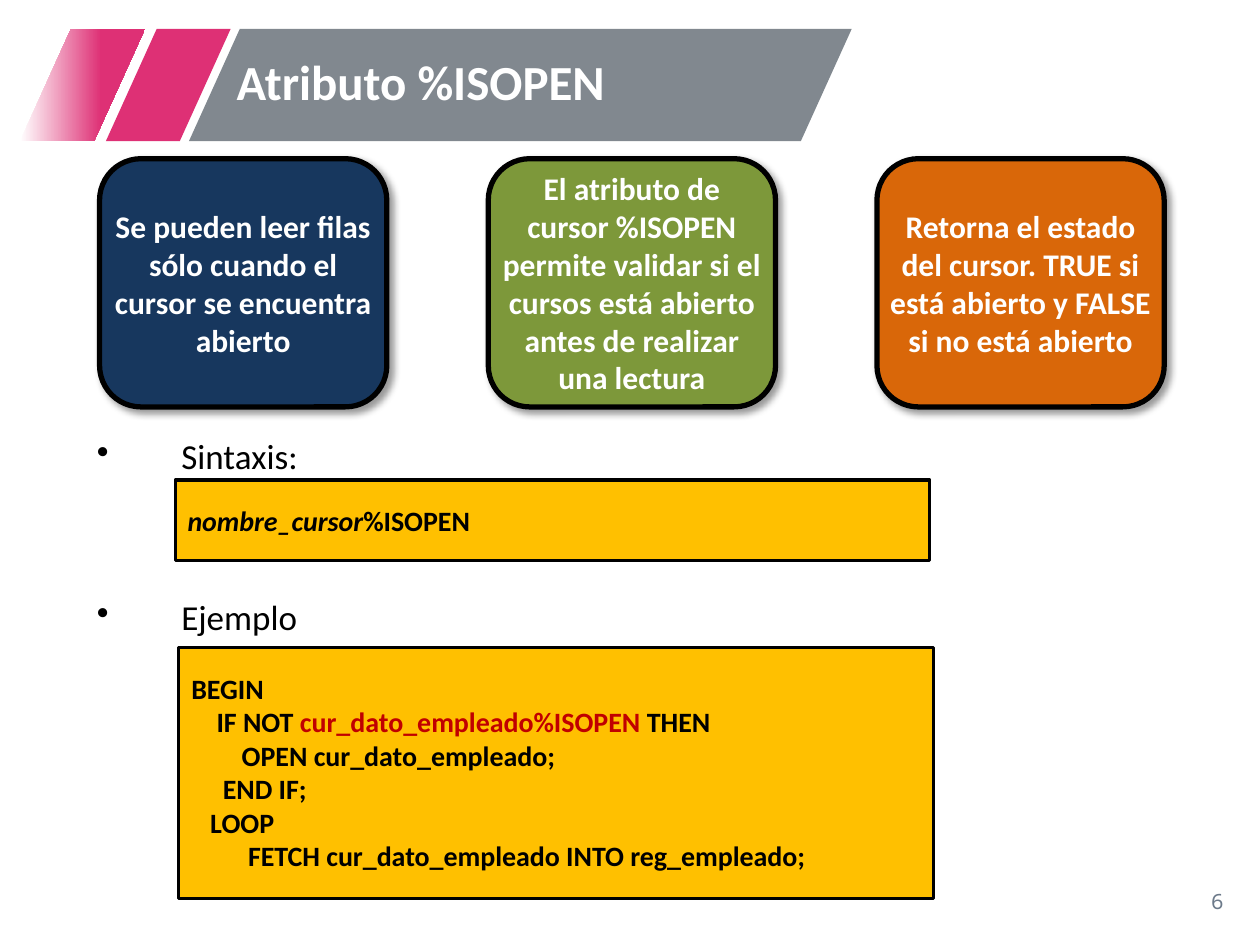
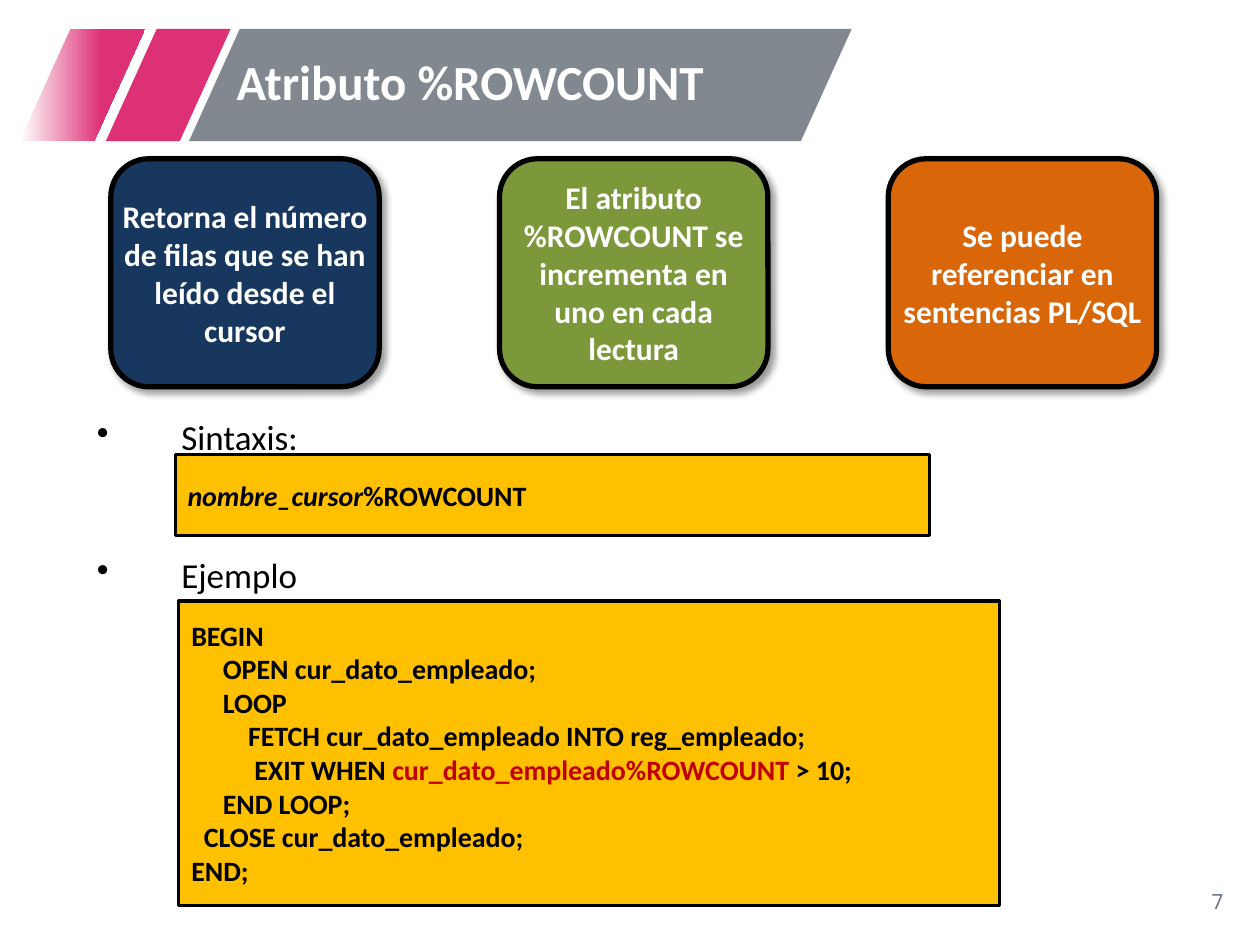
from copy import deepcopy
from dataclasses import dataclass

from lxml import etree
from pptx import Presentation
from pptx.dml.color import RGBColor
from pptx.enum.shapes import MSO_SHAPE
from pptx.enum.text import MSO_ANCHOR, PP_ALIGN
from pptx.oxml.ns import qn
from pptx.util import Inches, Pt

RECT, ROUND, SLANT = MSO_SHAPE.RECTANGLE, MSO_SHAPE.ROUNDED_RECTANGLE, MSO_SHAPE.PARALLELOGRAM
TOP, MIDDLE = MSO_ANCHOR.TOP, MSO_ANCHOR.MIDDLE
LEFT, CENTER, RIGHT = PP_ALIGN.LEFT, PP_ALIGN.CENTER, PP_ALIGN.RIGHT
COLS, ROWS = 100, 75
CELL = 0.1


@dataclass(frozen=True)
class Theme:
    """Colours, fonts and type sizes shared by the slides."""
    pink: str = "DE3075"
    grey: str = "81888F"
    white: str = "FFFFFF"
    black: str = "000000"
    amber: str = "FFC000"
    red: str = "C00000"
    number: str = "6C7A8A"
    cards: tuple = ("17375E", "7D983A", "D96709")
    font: str = "Calibri"
    number_font: str = "Noto Sans Mono"
    title_size: int = 28
    label_size: int = 20
    card_size: int = 18
    code_size: int = 16
    number_size: int = 12


@dataclass(frozen=True)
class Box:
    """A region in grid columns and rows."""
    x: float
    y: float
    w: float
    h: float

    def inner(self, x, y, w, h):
        """Return a box placed from this one's top left corner."""
        return Box(self.x + x, self.y + y, w, h)

    def emu(self):
        """Return left, top, width and height as lengths."""
        return [Inches(v * CELL) for v in (self.x, self.y, self.w, self.h)]


T = Theme()
HEADER = Box(1.6, 2.3, 66, 8.9)
NUMBER = Box(75.6, 69.5, 22.5, 4)


def rgb(value):
    """Turn a hex string into a colour."""
    return RGBColor.from_string(value)


def write(sp, lines, size, color, font=T.font, bold=False, align=LEFT,
          anchor=MIDDLE, inset=(1, 0.5, 1, 0.5), spacing=None, hang=0):
    """Fill a shape with lines, each a string or a list of (text, format) runs."""
    tf = sp.text_frame
    tf.word_wrap = True
    tf.vertical_anchor = anchor
    tf.margin_left, tf.margin_top, tf.margin_right, tf.margin_bottom = [
        Inches(v * CELL) for v in inset]
    for i, line in enumerate(lines):
        p = tf.paragraphs[0] if i == 0 else tf.add_paragraph()
        p.alignment = align
        if spacing:
            p.line_spacing = spacing
        if hang:
            pPr = p._p.get_or_add_pPr()
            pPr.set("marL", str(Inches(hang * CELL)))
            pPr.set("indent", str(-Inches(hang * CELL)))
            etree.SubElement(pPr, qn("a:buChar")).set("char", "•")
        for text, style in [(line, {})] if isinstance(line, str) else line:
            r = p.add_run()
            r.text = text
            r.font.name, r.font.size, r.font.bold = font, Pt(size), bold
            r.font.italic = style.get("italic", False)
            r.font.color.rgb = rgb(style.get("color", color))


def add_text(slide, box, text, **fmt):
    """Add a text box with one paragraph."""
    write(slide.shapes.add_textbox(*box.emu()), [text], **fmt)


def add_block(slide, kind, box, fill, line=0):
    """Add a filled shape, outlined in black when a line width is given."""
    sp = slide.shapes.add_shape(kind, *box.emu())
    sp.shadow.inherit = False
    sp.fill.solid()
    sp.fill.fore_color.rgb = rgb(fill)
    if line:
        sp.line.color.rgb = rgb(T.black)
        sp.line.width = Pt(line)
    else:
        sp.line.fill.background()
    return sp


def fade(sp, start, end):
    """Fade a shape from start to end, solid from 65 % on."""
    sp.fill.gradient()
    sp.fill.gradient_angle = 0
    for stop, color, position in zip(sp.fill.gradient_stops, (start, end), (0, 0.65)):
        stop.color.rgb = rgb(color)
        stop.position = position
    stops = sp.element.spPr.find(qn("a:gradFill")).find(qn("a:gsLst"))
    last = deepcopy(stops[-1])
    last.set("pos", "100000")
    stops.append(last)


def cast_shadow(sp):
    """Give a shape a soft shadow to the lower right."""
    effects = sp.element.spPr.find(qn("a:effectLst"))
    shadow = etree.SubElement(effects, qn("a:outerShdw"), blurRad=str(Pt(4)),
                              dist=str(Pt(3)), dir="2700000", algn="tl", rotWithShape="0")
    color = etree.SubElement(shadow, qn("a:srgbClr"), val=T.black)
    etree.SubElement(color, qn("a:alpha"), val="40000")


def add_header(slide, box, title):
    """Draw the slanted band with the title."""
    bands = [(6.8, 9.9, T.pink), (0, 9.9, T.pink), (13.4, 52.6, T.grey)]
    for x, w, fill in bands:
        sp = add_block(slide, SLANT, box.inner(x, 0, w, box.h), fill)
        sp.adjustments[0] = 0.453
        if x == 0:
            fade(sp, T.white, T.pink)
    add_text(slide, box.inner(16.2, 0, 48.2, box.h), title,
             size=T.title_size, color=T.white, bold=True, spacing=0.9)


def add_cards(slide, box, texts, width):
    """Spread the cards evenly across the box."""
    step = (box.w - width) / (len(texts) - 1)
    for i, (text, fill) in enumerate(zip(texts, T.cards)):
        sp = add_block(slide, ROUND, box.inner(i * step, 0, width, box.h), fill, line=3)
        cast_shadow(sp)
        write(sp, [text], size=T.card_size, color=T.white, bold=True,
              align=CENTER, inset=(0, 0, 0, 0))


def add_code(slide, label_box, label, box, lines, top=1.86):
    """Place a bulleted label and its code panel."""
    add_text(slide, label_box, label, size=T.label_size, color=T.black,
             anchor=TOP, inset=(1, 0, 1, 0), hang=6.7)
    sp = add_block(slide, RECT, box, T.amber, line=1.75)
    write(sp, lines, size=T.code_size, color=T.black, bold=True,
          anchor=TOP, inset=(1, top, 1, 0))


def highlight(line, term):
    """Split a line into runs with the term in red."""
    before, found, after = line.partition(term)
    runs = [(before, {}), (found, {"color": T.red}), (after, {})]
    return [run for run in runs if run[0]]


def add_attribute_slide(prs, number, attribute, cards, card_box, card_width,
                        label_rows, syntax_row, example_box, code, code_top):
    """Build one slide about a cursor attribute."""
    slide = prs.slides.add_slide(prs.slide_layouts[6])
    add_header(slide, HEADER, f"Atributo {attribute}")
    add_text(slide, NUMBER, str(number), size=T.number_size, color=T.number,
             font=T.number_font, align=RIGHT)
    add_cards(slide, card_box, cards, card_width)
    syntax_label, example_label = [Box(6.7, row, 85.8, 4) for row in label_rows]
    syntax = [[("nombre_cursor", {"italic": True}), (attribute, {})]]
    add_code(slide, syntax_label, "Sintaxis:", Box(13.9, syntax_row, 59.9, 6.4), syntax)
    term = f"cur_dato_empleado{attribute}"
    add_code(slide, example_label, "Ejemplo", example_box,
             [highlight(line, term) for line in code], code_top)


def main():
    """Build and save the presentation."""
    prs = Presentation()
    prs.slide_width, prs.slide_height = Inches(COLS * CELL), Inches(ROWS * CELL)
    add_attribute_slide(
        prs, 6, "%ISOPEN",
        cards=["Se pueden leer filas sólo cuando el cursor se encuentra abierto",
               "El atributo de cursor %ISOPEN permite validar si el cursos está abierto "
               "antes de realizar una lectura",
               "Retorna el estado del cursor. TRUE si está abierto y FALSE si no está abierto"],
        card_box=Box(7.9, 12.6, 84.5, 19.7), card_width=22.8,
        label_rows=(34.5, 47.3), syntax_row=38.1,
        example_box=Box(14.2, 51.4, 59.9, 19.9), code_top=1.86,
        code=["BEGIN",
              "    IF NOT cur_dato_empleado%ISOPEN THEN",
              "        OPEN cur_dato_empleado;",
              "     END IF;",
              "   LOOP",
              "         FETCH cur_dato_empleado INTO reg_empleado;"])
    add_attribute_slide(
        prs, 7, "%ROWCOUNT",
        cards=["Retorna el número de filas que se han leído desde el cursor",
               "El atributo %ROWCOUNT se incrementa en uno en cada lectura",
               "Se puede referenciar en sentencias PL/SQL"],
        card_box=Box(8.8, 12.6, 83, 18.1), card_width=21.3,
        label_rows=(33, 43.9), syntax_row=36.1,
        example_box=Box(14.2, 47.7, 65.1, 24.2), code_top=1.36,
        code=["BEGIN",
              "     OPEN cur_dato_empleado;",
              "     LOOP",
              "         FETCH cur_dato_empleado INTO reg_empleado;",
              "          EXIT WHEN cur_dato_empleado%ROWCOUNT > 10;",
              "     END LOOP;",
              "  CLOSE cur_dato_empleado;",
              "END;"])
    prs.save("out.pptx")


if __name__ == "__main__":
    main()
